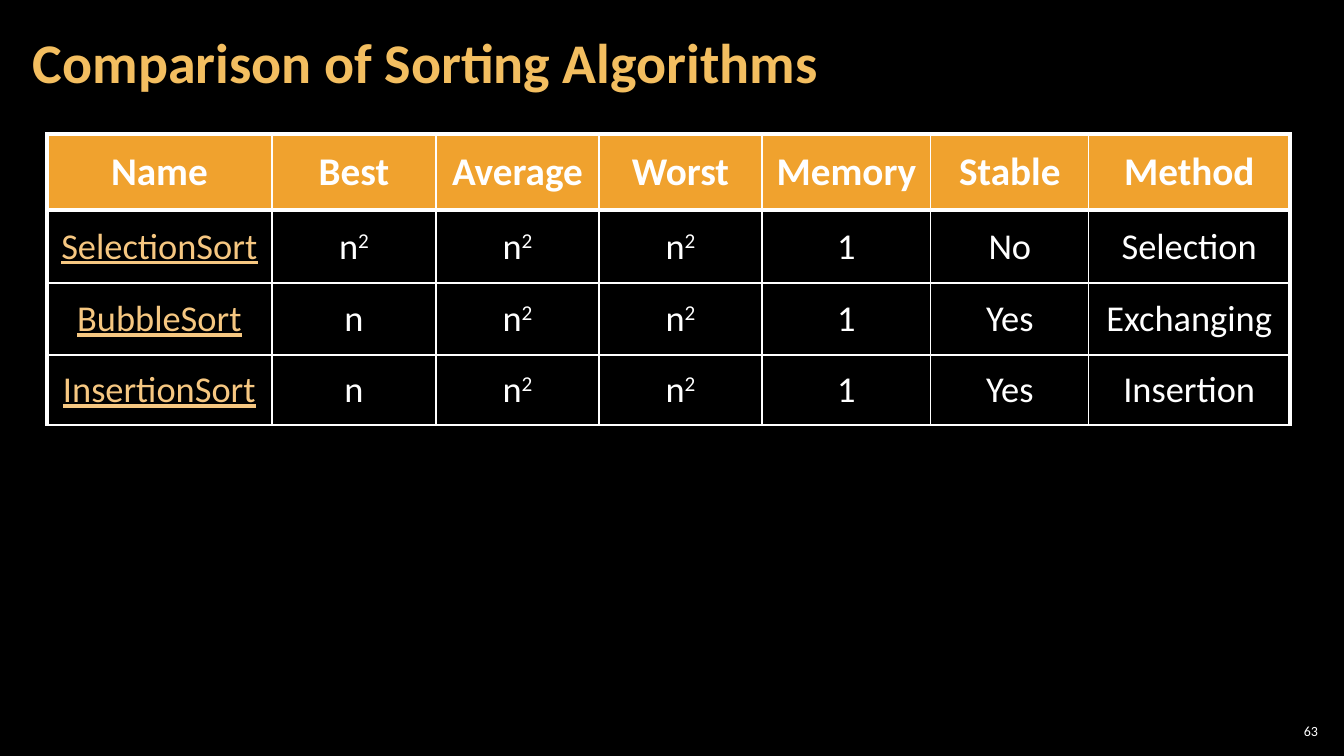
from dataclasses import dataclass

from lxml.etree import SubElement
from pptx import Presentation
from pptx.dml.color import RGBColor as RGB
from pptx.enum.text import MSO_ANCHOR as ANCHOR, PP_ALIGN as ALIGN
from pptx.oxml.ns import qn
from pptx.util import Emu, Pt


@dataclass(frozen=True)
class Theme:
    font: str = "Calibri"
    background: str = "000000"
    text: str = "FFFFFF"
    title: str = "F3BE60"
    header: str = "F0A22E"
    algorithm: str = "F6C781"
    title_size: int = 40
    header_size: int = 28
    body_size: int = 26
    number_size: int = 10
    thin: int = 1
    thick: int = 3
    body_opacity: int = 30


THEME = Theme()
SLIDE_W, SLIDE_H = 1344, 756
COLUMN_WIDTHS = [225, 164, 163, 163, 169, 158, 201]
ROW_HEIGHTS = [76, 73, 72, 70]
# A caret marks the start of a superscript
ROWS = [
    ["Name", "Best", "Average", "Worst", "Memory", "Stable", "Method"],
    ["SelectionSort", "n^2", "n^2", "n^2", "1", "No", "Selection"],
    ["BubbleSort", "n", "n^2", "n^2", "1", "Yes", "Exchanging"],
    ["InsertionSort", "n", "n^2", "n^2", "1", "Yes", "Insertion"],
]


def px(n):
    return Emu(round(n * 914400 / 100.8))


def style_run(r, size, color, bold=False, underline=False):
    r.font.name = THEME.font
    r.font.size = Pt(size)
    r.font.bold = bold
    r.font.underline = underline
    r.font.color.rgb = RGB.from_string(color)


def add_label(s, box, text, size, color, bold=False, align=ALIGN.LEFT,
              side_inset=4, line_spacing=None):
    tf = s.shapes.add_textbox(*map(px, box)).text_frame
    tf.word_wrap = True
    tf.vertical_anchor = ANCHOR.MIDDLE
    tf.margin_left = tf.margin_right = px(side_inset)
    tf.margin_top = tf.margin_bottom = px(4)
    p = tf.paragraphs[0]
    p.text = text
    p.alignment = align
    p.line_spacing = line_spacing
    style_run(p.runs[0], size, color, bold)


def set_borders(cell, widths):
    """Draw the left, right, top and bottom borders, widths in points."""
    tcPr = cell._tc.get_or_add_tcPr()
    for side, width in zip("LRTB", widths):
        ln = SubElement(tcPr, qn(f"a:ln{side}"), w=str(Pt(width)))
        fill = SubElement(ln, qn("a:solidFill"))
        SubElement(fill, qn("a:srgbClr"), val=THEME.text)


def fill_cell(cell, color, opacity=100):
    cell.fill.solid()
    cell.fill.fore_color.rgb = RGB.from_string(color)
    if opacity < 100:
        clr = cell._tc.tcPr.find(f"{qn('a:solidFill')}/{qn('a:srgbClr')}")
        SubElement(clr, qn("a:alpha"), val=str(opacity * 1000))


def write_cell(cell, text, size, color, bold, underline):
    cell.vertical_anchor = ANCHOR.MIDDLE
    p = cell.text_frame.paragraphs[0]
    p.alignment = ALIGN.CENTER
    for i, part in enumerate(text.split("^")):
        r = p.add_run()
        r.text = part
        style_run(r, size, color, bold, underline)
        if i:
            r._r.get_or_add_rPr().set("baseline", "30000")


def add_comparison_table(s, left, top):
    box = (left, top, sum(COLUMN_WIDTHS), sum(ROW_HEIGHTS))
    table = s.shapes.add_table(len(ROWS), len(COLUMN_WIDTHS),
                               *map(px, box)).table
    table.horz_banding = False
    for column, width in zip(table.columns, COLUMN_WIDTHS):
        column.width = px(width)
    for row, height in zip(table.rows, ROW_HEIGHTS):
        row.height = px(height)

    last = len(COLUMN_WIDTHS) - 1
    for i, row in enumerate(ROWS):
        for j, text in enumerate(row):
            cell = table.cell(i, j)
            is_header = i == 0
            is_algorithm = j == 0 and not is_header
            # Thick outer sides and header rules, thin lines elsewhere
            thick_sides = (j == 0, j == last, i <= 1, is_header)
            set_borders(cell, [THEME.thick if t else THEME.thin
                               for t in thick_sides])
            if is_header:
                fill_cell(cell, THEME.header)
            else:
                fill_cell(cell, THEME.background, THEME.body_opacity)
            write_cell(cell, text,
                       THEME.header_size if is_header else THEME.body_size,
                       THEME.algorithm if is_algorithm else THEME.text,
                       is_header, is_algorithm)


def add_comparison_slide(prs):
    s = prs.slides.add_slide(prs.slide_layouts[6])
    s.background.fill.solid()
    s.background.fill.fore_color.rgb = RGB.from_string(THEME.background)
    # Slide number
    add_label(s, (1275, 720, 47, 22), "63", THEME.number_size, THEME.text,
              align=ALIGN.RIGHT)
    # Title
    add_label(s, (21, 4, 1055, 122), "Comparison of Sorting Algorithms",
              THEME.title_size, THEME.title, bold=True, side_inset=12,
              line_spacing=0.9)
    # Table
    add_comparison_table(s, 47, 134)


def main():
    prs = Presentation()
    prs.slide_width, prs.slide_height = px(SLIDE_W), px(SLIDE_H)
    add_comparison_slide(prs)
    prs.save("out.pptx")


if __name__ == "__main__":
    main()
